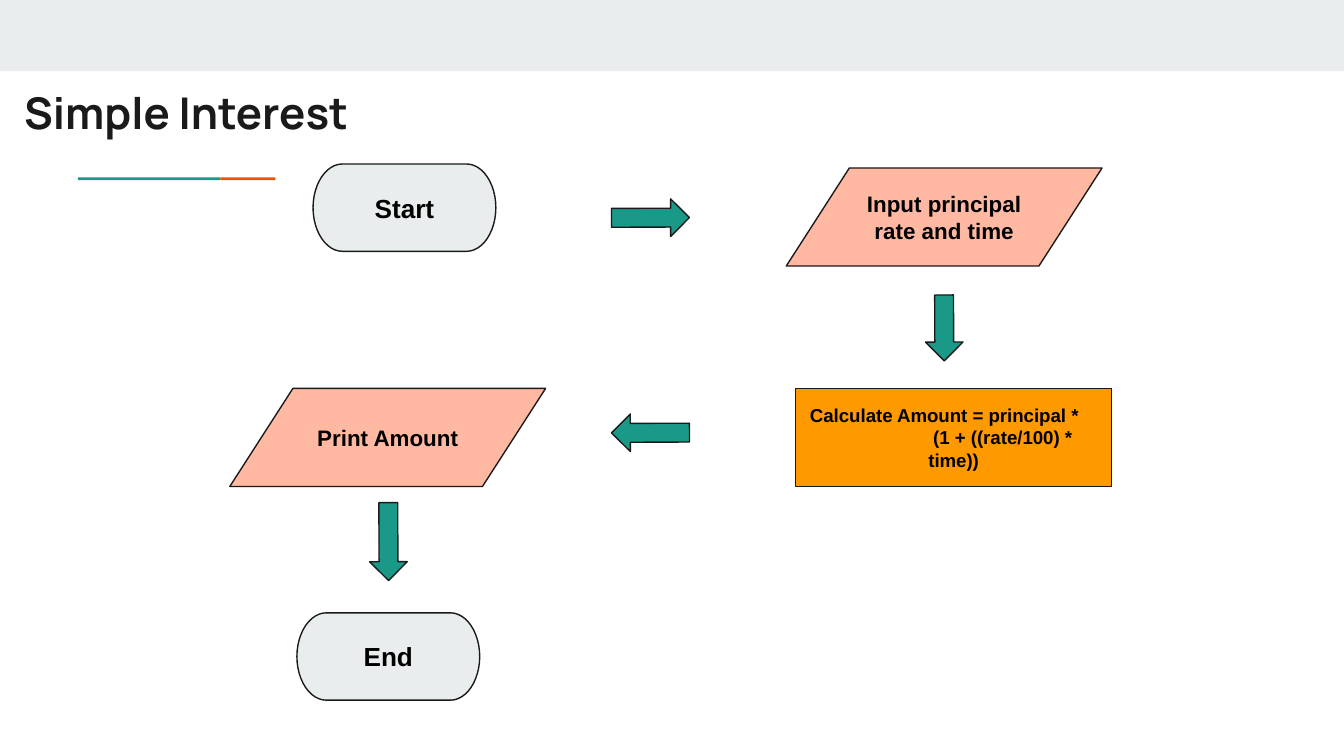
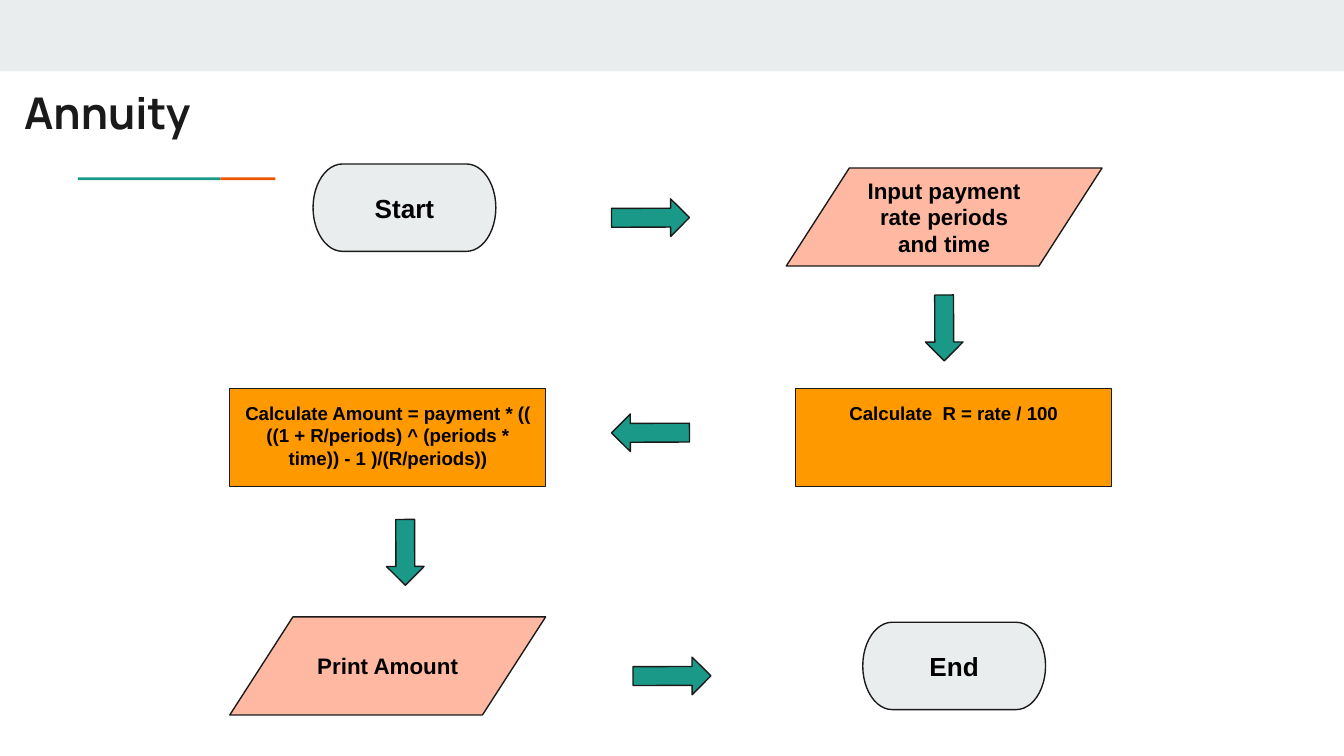
from pptx import Presentation
from pptx.dml.color import RGBColor
from pptx.enum.shapes import MSO_SHAPE as Preset
from pptx.enum.text import MSO_ANCHOR as Anchor, MSO_AUTO_SIZE as AutoSize, PP_ALIGN as Align
from pptx.util import Inches, Pt

WIDTH = 10
HEIGHT = WIDTH * 9 / 16
INK, BLACK, GREY, TEAL = "1A1A1A", "000000", "E9EDEE", "1A9988"
ORANGE, PEACH, AMBER = "EB5600", "FFB8A2", "FF9900"

# kind: preset, width, height, fill, text size
KINDS = {
    "terminal": (Preset.FLOWCHART_TERMINATOR, 1.36, 0.65, GREY, 14),
    "data": (Preset.FLOWCHART_DATA, 2.35, 0.73, PEACH, 12),
    "process": (Preset.FLOWCHART_PROCESS, 2.35, 0.73, AMBER, 10),
}
TURNS = {"right": 359.8, "down": 89.8, "left": 179.8}
LONG, SHORT, ARROW_HEIGHT = 0.58, 0.49, 0.28
LEFT_X, INPUT_X, RIGHT_X, MIDDLE_Y = 1.71, 5.85, 5.92, 2.89

DECOR = [
    (0, 0, WIDTH, 0.53, GREY),
    (0.58, 1.32, 1.06, 0.02, TEAL),
    (1.64, 1.32, 0.41, 0.02, ORANGE),
]
START = ("terminal", 2.33, 1.22, Anchor.MIDDLE, [("Start", 0, 0)])
SHARED_ARROWS = [
    ("right", 4.55, 1.48, LONG),
    ("down", 6.78, 2.3, SHORT),
    ("left", 4.55, 3.08, LONG),
]
# step: kind, left, top, anchor, lines of (text, left indent, right indent)
SLIDES = [
    {
        "title": "Simple Interest",
        "steps": [
            ("data", INPUT_X, 1.25, Anchor.MIDDLE, [("Input principal rate and time", 0, 0)]),
            ("process", RIGHT_X, MIDDLE_Y, Anchor.MIDDLE, [
                ("Calculate Amount = principal *", 0, 0.14),
                ("(1 + ((rate/100) *", 0.73, 0),
                ("time))", 0, 0),
            ]),
            ("data", LEFT_X, MIDDLE_Y, Anchor.MIDDLE, [("Print Amount", 0, 0)]),
            ("terminal", 2.21, 4.56, Anchor.MIDDLE, [("End", 0, 0)]),
        ],
        "arrows": [("down", 2.6, 3.89, LONG)],
    },
    {
        "title": "Annuity",
        "steps": [
            ("data", INPUT_X, 1.25, Anchor.MIDDLE, [("Input payment rate periods and time", 0, 0)]),
            ("process", RIGHT_X, MIDDLE_Y, Anchor.TOP, [("Calculate  R = rate / 100", 0, 0)]),
            ("process", LEFT_X, MIDDLE_Y, Anchor.TOP, [
                ("Calculate Amount = payment * (( ((1 + R/periods) ^ (periods * time)) - 1 )/(R/periods))", 0, 0),
            ]),
            ("data", LEFT_X, 4.59, Anchor.MIDDLE, [("Print Amount", 0, 0)]),
            ("terminal", 6.42, 4.63, Anchor.MIDDLE, [("End", 0, 0)]),
        ],
        "arrows": [("down", 2.77, 3.97, SHORT), ("right", 4.71, 4.89, LONG)],
    },
]


def color(value):
    """Turn a hex string into a colour."""
    return RGBColor.from_string(value)


def add_shape(slide, preset, left, top, width, height, fill, line=INK):
    """Add a filled preset shape, outlined unless line is None."""
    shape = slide.shapes.add_shape(preset, Inches(left), Inches(top), Inches(width), Inches(height))
    shape.shadow.inherit = False
    shape.fill.solid()
    shape.fill.fore_color.rgb = color(fill)
    if line:
        shape.line.color.rgb = color(line)
        shape.line.width = Pt(0.75)
    else:
        shape.line.fill.background()
    return shape


def set_frame(frame, anchor):
    """Give a text frame the common margins, wrapping and anchor."""
    frame.margin_left = frame.margin_right = Inches(0.1)
    frame.margin_top = frame.margin_bottom = Inches(0.1)
    frame.word_wrap = True
    frame.auto_size = AutoSize.NONE
    frame.vertical_anchor = anchor


def add_run(paragraph, text, font, size, ink):
    """Add one bold run."""
    run = paragraph.add_run()
    run.text = text
    run.font.name, run.font.size, run.font.bold = font, Pt(size), True
    run.font.color.rgb = color(ink)


def add_title(slide, text):
    """Fill the title placeholder."""
    title = slide.shapes.title
    title.left, title.top = Inches(0.08), Inches(0.54)
    title.width, title.height = Inches(8.41), Inches(0.59)
    set_frame(title.text_frame, Anchor.TOP)
    paragraph = title.text_frame.paragraphs[0]
    paragraph.alignment = Align.LEFT
    add_run(paragraph, text, "Manrope", 23.4, INK)


def add_step(slide, kind, left, top, anchor, lines):
    """Add one flowchart step with its text."""
    preset, width, height, fill, size = KINDS[kind]
    frame = add_shape(slide, preset, left, top, width, height, fill).text_frame
    set_frame(frame, anchor)
    for index, (text, indent, right_indent) in enumerate(lines):
        paragraph = frame.add_paragraph() if index else frame.paragraphs[0]
        paragraph.alignment = Align.CENTER
        properties = paragraph._p.get_or_add_pPr()
        properties.set("marL", str(Inches(indent)))
        properties.set("marR", str(Inches(right_indent)))
        add_run(paragraph, text, "Arial", size, BLACK)


def add_arrow(slide, direction, left, top, length):
    """Add a block arrow turned to its direction."""
    arrow = add_shape(slide, Preset.RIGHT_ARROW, left, top, length, ARROW_HEIGHT, TEAL)
    arrow.rotation = TURNS[direction]


def decorate_layout(layout, slide):
    """Place the band and the accent rule behind the layout's placeholders."""
    for index, (left, top, width, height, fill) in enumerate(DECOR):
        shape = add_shape(slide, Preset.RECTANGLE, left, top, width, height, fill, None)
        layout.shapes.element.insert(2 + index, shape.element)


def main():
    """Build and save the presentation."""
    presentation = Presentation()
    presentation.slide_width, presentation.slide_height = Inches(WIDTH), Inches(HEIGHT)
    layout = presentation.slide_layouts[5]
    for number, content in enumerate(SLIDES):
        slide = presentation.slides.add_slide(layout)
        if number == 0:
            decorate_layout(layout, slide)
        add_title(slide, content["title"])
        for step in [START] + content["steps"]:
            add_step(slide, *step)
        for arrow in SHARED_ARROWS + content["arrows"]:
            add_arrow(slide, *arrow)
    presentation.save("out.pptx")


main()
